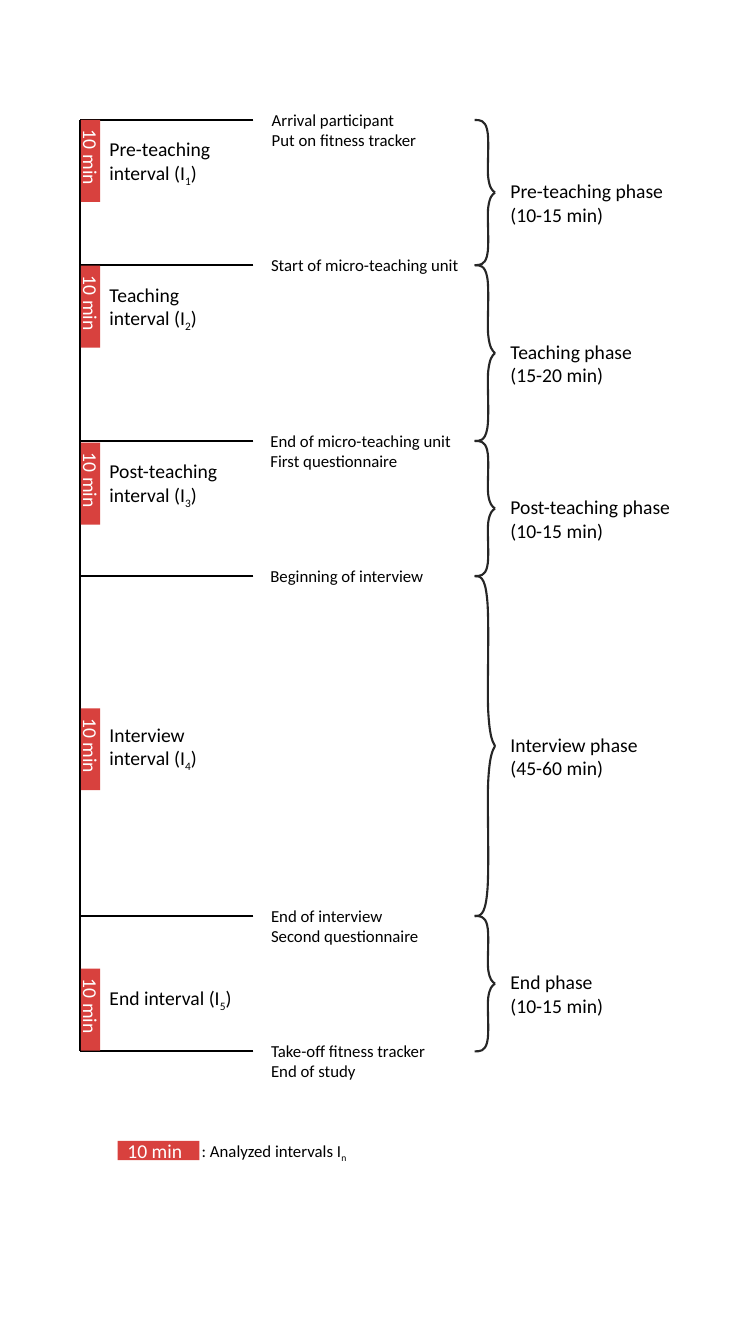
from dataclasses import dataclass

from lxml import etree
from pptx import Presentation
from pptx.dml.color import RGBColor
from pptx.enum.shapes import MSO_CONNECTOR, MSO_SHAPE
from pptx.enum.text import MSO_AUTO_SIZE, PP_ALIGN
from pptx.oxml.ns import qn
from pptx.util import Pt

STRAIGHT = MSO_CONNECTOR.STRAIGHT
RECT = MSO_SHAPE.RECTANGLE
GROW = MSO_AUTO_SIZE.SHAPE_TO_FIT_TEXT
LEFT = PP_ALIGN.LEFT

# Content: (height on the timeline, text left, lines)
EVENTS = [
    (85.7, 187, ["Arrival participant", "Put on fitness tracker"]),
    (189.4, 186.5, ["Start of micro-teaching unit"]),
    (315, 186, ["End of micro-teaching unit", "First questionnaire"]),
    (411.5, 186, ["Beginning of interview"]),
    (654.3, 186.5, ["End of interview", "Second questionnaire"]),
    (751, 186.5, ["Take-off fitness tracker", "End of study"]),
]
# One phase between each pair of neighbouring events
PHASES = [
    ["Pre-teaching phase", "(10-15 min)"],
    ["Teaching phase", "(15-20 min)"],
    ["Post-teaching phase", "(10-15 min)"],
    ["Interview phase", "(45-60 min)"],
    ["End phase", "(10-15 min)"],
]
# (bar top, label top, label width, label rows, label); "_" marks a subscript
INTERVALS = [
    (85.7, 94.3, 104.4, 2, "Pre-teaching interval (I_1)"),
    (189.8, 198.2, 85.7, 2, "Teaching interval (I_2)"),
    (316.2, 324.5, 95, 2, "Post-teaching interval (I_3)"),
    (506, 512.5, 85.7, 2, "Interview interval (I_4)"),
    (692, 701, 104.4, 1, "End interval (I_5)"),
]
BAR_TEXT = "10 min"
LEGEND = ": Analyzed intervals I_n"


@dataclass
class Theme:
    font: str = "Calibri"
    black: RGBColor = RGBColor(0, 0, 0)
    white: RGBColor = RGBColor(255, 255, 255)
    red: RGBColor = RGBColor(0xD8, 0x41, 0x3E)
    brace: RGBColor = RGBColor(0x26, 0x26, 0x26)
    small: int = 12
    large: int = 14
    line: float = 1.5


T = Theme()

# Layout
SPINE_X, TICK_END = 57.2, 181
BAR_X, BAR_LENGTH, BAR_WIDTH = 64.7, 58.5, 13.8
INTERVAL_X, PHASE_X = 71.1, 357.5
EVENT_WIDTH, PHASE_WIDTH = 178, 151
LEGEND_X, LEGEND_Y = 113.2, 821.8
# Half a brace as Bezier points: x in points, y as a share of the half
BRACE_X, BRACE_DEPTH = 339.1, 14.5
BRACE = [(0, 0), (3.6, 0), (7.2, 0), (8.8, .13), (10.6, .26), (8.8, .65),
         (9.6, .79), (10.6, .94), (12.4, .97), (BRACE_DEPTH, 1)]


def add_text(s, x, y, width, lines, size, color=T.black, rows=None):
    height = 7.2 + (rows or len(lines)) * size * 1.22
    sp = s.shapes.add_textbox(Pt(x), Pt(y), Pt(width), Pt(height))
    tf = sp.text_frame
    tf.word_wrap, tf.auto_size = True, GROW
    for i, line in enumerate(lines):
        p = tf.paragraphs[0] if i == 0 else tf.add_paragraph()
        p.alignment = LEFT
        p.font.name, p.font.size = T.font, Pt(size)
        p.font.color.rgb = color
        head, mark, tail = line.partition("_")
        p.add_run().text = head
        if mark:
            r = p.add_run()
            r.text = tail[0]
            r.font._element.set("baseline", "-25000")
            if tail[1:]:
                p.add_run().text = tail[1:]
    return sp


def add_line(s, x1, y1, x2, y2):
    sp = s.shapes.add_connector(STRAIGHT, Pt(x1), Pt(y1), Pt(x2), Pt(y2))
    sp.line.color.rgb, sp.line.width = T.black, Pt(T.line)
    etree.SubElement(sp._element.spPr, qn("a:effectLst"))


def add_bar(s, center_x, center_y, rotation=0):
    left = center_x - BAR_LENGTH / 2
    sp = s.shapes.add_shape(RECT, Pt(left), Pt(center_y - BAR_WIDTH / 2),
                            Pt(BAR_LENGTH), Pt(BAR_WIDTH))
    sp.shadow.inherit = False
    sp.fill.solid()
    sp.fill.fore_color.rgb = T.red
    sp.line.fill.background()
    sp.rotation = rotation
    label = add_text(s, left, center_y - 12.1, BAR_LENGTH, [BAR_TEXT], T.large, T.white)
    label.rotation = rotation


def add_half_brace(s, end, tip):
    """Curve from a brace end to its tip, laid out flat and turned by 90 degrees."""
    cx, cy = BRACE_X + BRACE_DEPTH / 2, (end + tip) / 2
    points = [(Pt(cx + end + y * (tip - end) - cy), Pt(cy + BRACE_DEPTH / 2 - x))
              for x, y in BRACE]
    builder = s.shapes.build_freeform(*points[0])
    builder.add_line_segments(points[1:], close=False)
    sp = builder.convert_to_shape()
    # Join every three line segments into one Bezier curve
    segments = list(sp._element.iter(qn("a:lnTo")))
    for i in range(0, len(segments), 3):
        first, *others = segments[i:i + 3]
        curve = etree.Element(qn("a:cubicBezTo"))
        first.addprevious(curve)
        for segment in (first, *others):
            curve.append(segment[0])
            segment.getparent().remove(segment)
    sp.rotation = 90
    sp.shadow.inherit = False
    sp.fill.background()
    sp.line.color.rgb, sp.line.width = T.brace, Pt(T.line)


def main():
    prs = Presentation()
    prs.slide_width, prs.slide_height = Pt(540), Pt(960)
    s = prs.slides.add_slide(prs.slide_layouts[6])

    # Timeline with its events
    times = [y for y, _, _ in EVENTS]
    add_line(s, SPINE_X, times[0], SPINE_X, times[-1])
    for y, x, lines in EVENTS:
        add_line(s, TICK_END, y, SPINE_X, y)
        add_text(s, x, y - 11.2, EVENT_WIDTH, lines, T.small)

    # Analyzed intervals
    for bar_top, label_top, width, rows, label in INTERVALS:
        add_bar(s, BAR_X, bar_top + BAR_LENGTH / 2, 90)
        add_text(s, INTERVAL_X, label_top, width, [label], T.large, rows=rows)

    # Phases with braces
    for top, bottom, lines in zip(times, times[1:], PHASES):
        middle = (top + bottom) / 2
        add_half_brace(s, bottom, middle)
        add_half_brace(s, top, middle)
        add_text(s, PHASE_X, middle - 13.2, PHASE_WIDTH, lines, T.large)

    # Legend
    add_bar(s, LEGEND_X, LEGEND_Y)
    add_text(s, 137, LEGEND_Y - 10.5, EVENT_WIDTH, [LEGEND], T.small)

    prs.save("out.pptx")


if __name__ == "__main__":
    main()
